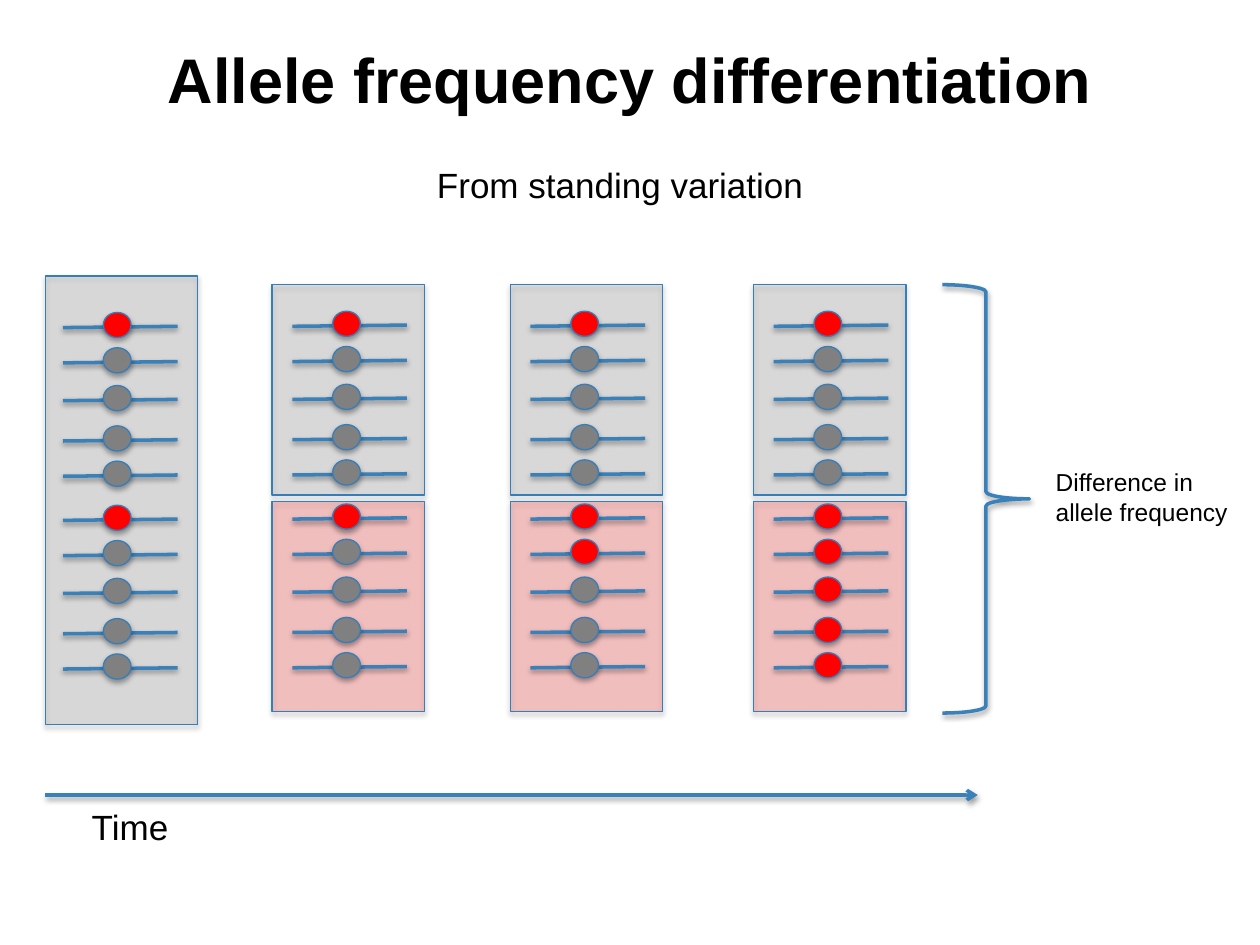
from lxml.etree import SubElement
from pptx import Presentation
from pptx.dml.color import RGBColor
from pptx.enum.shapes import MSO_CONNECTOR, MSO_SHAPE
from pptx.enum.text import MSO_ANCHOR, PP_ALIGN
from pptx.oxml.ns import qn
from pptx.util import Inches, Pt

TITLE = "Allele frequency differentiation"
LABELS = [
    ("From standing variation", 3.37, 1.25, 3.13, 0.44, 20),
    ("Difference in\nallele frequency", 8.28, 3.66, 1.59, 0.57, 14),
    ("Time", 0.63, 6.34, 0.83, 0.44, 20),
]

BLACK = RGBColor(0x00, 0x00, 0x00)
RED = RGBColor(0xFF, 0x00, 0x00)
GRAY = RGBColor(0x80, 0x80, 0x80)
OUTLINE = RGBColor(0x36, 0x7E, 0xB9)
STROKE = RGBColor(0x3A, 0x81, 0xBA)

PANEL_WIDTH, PANEL_HEIGHT = 1.21, 1.67
UPPER_TOP, LOWER_TOP = 2.26, 3.98
PANELS = [(0.36, 2.19, 3.56, GRAY)]
for panel_left in (2.16, 4.05, 5.98):
    PANELS += [
        (panel_left, UPPER_TOP, PANEL_HEIGHT, GRAY),
        (panel_left, LOWER_TOP, PANEL_HEIGHT, RED),
    ]

GENERATIONS = [
    (0.5, 2.6, "R....", "R...."),
    (2.32, 2.59, "R....", "R...."),
    (4.21, 2.59, "R....", "RR..."),
    (6.14, 2.59, "R....", "RRRRR"),
]
STRAND_OFFSETS = (0, 0.28, 0.58, 0.9, 1.18)
GROUP_STEP = 1.53
STRAND_LENGTH, STRAND_RISE = 0.91, 0.01
ALLELE_WIDTH, ALLELE_HEIGHT = 0.22, 0.2
ALLELE_INDENT, ALLELE_LIFT = 0.32, 0.12


def cast_shadow(shape, opacity, distance):
    effects = SubElement(shape.element.spPr, qn("a:effectLst"))
    shadow = SubElement(effects, qn("a:outerShdw"), blurRad=str(Pt(3.1)),
                        dist=str(Pt(distance)), dir="5400000", rotWithShape="0")
    color = SubElement(shadow, qn("a:srgbClr"), val=str(BLACK))
    SubElement(color, qn("a:alpha"), val=str(opacity * 1000))


def add_filled(slide, kind, left, top, width, height, color, opacity=100):
    shape = slide.shapes.add_shape(kind, *map(Inches, (left, top, width, height)))
    shape.fill.solid()
    shape.fill.fore_color.rgb = color
    if opacity < 100:
        fill_color = shape.element.spPr.find(qn("a:solidFill"))[0]
        SubElement(fill_color, qn("a:alpha"), val=str(opacity * 1000))
    shape.line.color.rgb = OUTLINE
    shape.line.width = Pt(0.75)
    cast_shadow(shape, 35, 1.8)


def stroke(shape, arrow=False):
    shape.line.color.rgb = STROKE
    shape.line.width = Pt(2)
    if arrow:
        SubElement(shape.element.spPr.find(qn("a:ln")), qn("a:tailEnd"), type="arrow")
    cast_shadow(shape, 38, 1.6)


def add_line(slide, start_x, start_y, end_x, end_y, arrow=False):
    ends = map(Inches, (start_x, start_y, end_x, end_y))
    stroke(slide.shapes.add_connector(MSO_CONNECTOR.STRAIGHT, *ends), arrow)


def style_text(frame, size, bold=False):
    for paragraph in frame.paragraphs:
        for run in paragraph.runs:
            run.font.name = "Arial"
            run.font.size = Pt(size)
            run.font.bold = bold
            run.font.color.rgb = BLACK


def add_title(slide):
    title = slide.shapes.title
    title.left, title.top, title.width, title.height = map(Inches, (0.5, 0, 9, 1.25))
    frame = title.text_frame
    frame.text = TITLE
    frame.vertical_anchor = MSO_ANCHOR.MIDDLE
    frame.margin_left = frame.margin_right = Inches(0.1)
    frame.margin_top = frame.margin_bottom = Inches(0.1)
    frame.paragraphs[0].alignment = PP_ALIGN.CENTER
    style_text(frame, 36, bold=True)


def add_generation(slide, left, first_y, *groups):
    for group_index, alleles in enumerate(groups):
        for offset, allele in zip(STRAND_OFFSETS, alleles):
            y = first_y + group_index * GROUP_STEP + offset
            add_line(slide, left, y, left + STRAND_LENGTH, y - STRAND_RISE)
            add_filled(slide, MSO_SHAPE.OVAL, left + ALLELE_INDENT, y - ALLELE_LIFT,
                       ALLELE_WIDTH, ALLELE_HEIGHT, RED if allele == "R" else GRAY)


def main():
    deck = Presentation()
    deck.slide_width, deck.slide_height = Inches(10), Inches(7.5)
    slide = deck.slides.add_slide(deck.slide_layouts[5])
    add_title(slide)

    for left, top, height, color in PANELS:
        add_filled(slide, MSO_SHAPE.RECTANGLE, left, top, PANEL_WIDTH, height, color, 20)
    for generation in GENERATIONS:
        add_generation(slide, *generation)

    brace = slide.shapes.add_shape(
        MSO_SHAPE.RIGHT_BRACE, *map(Inches, (7.48, UPPER_TOP, 0.69, 3.4)))
    brace.fill.background()
    stroke(brace)
    add_line(slide, 0.36, 6.31, 7.76, 6.31, arrow=True)

    for text, left, top, width, height, size in LABELS:
        label = slide.shapes.add_textbox(*map(Inches, (left, top, width, height)))
        label.text_frame.text = text
        label.text_frame.word_wrap = False
        style_text(label.text_frame, size)

    deck.save("out.pptx")


if __name__ == "__main__":
    main()
